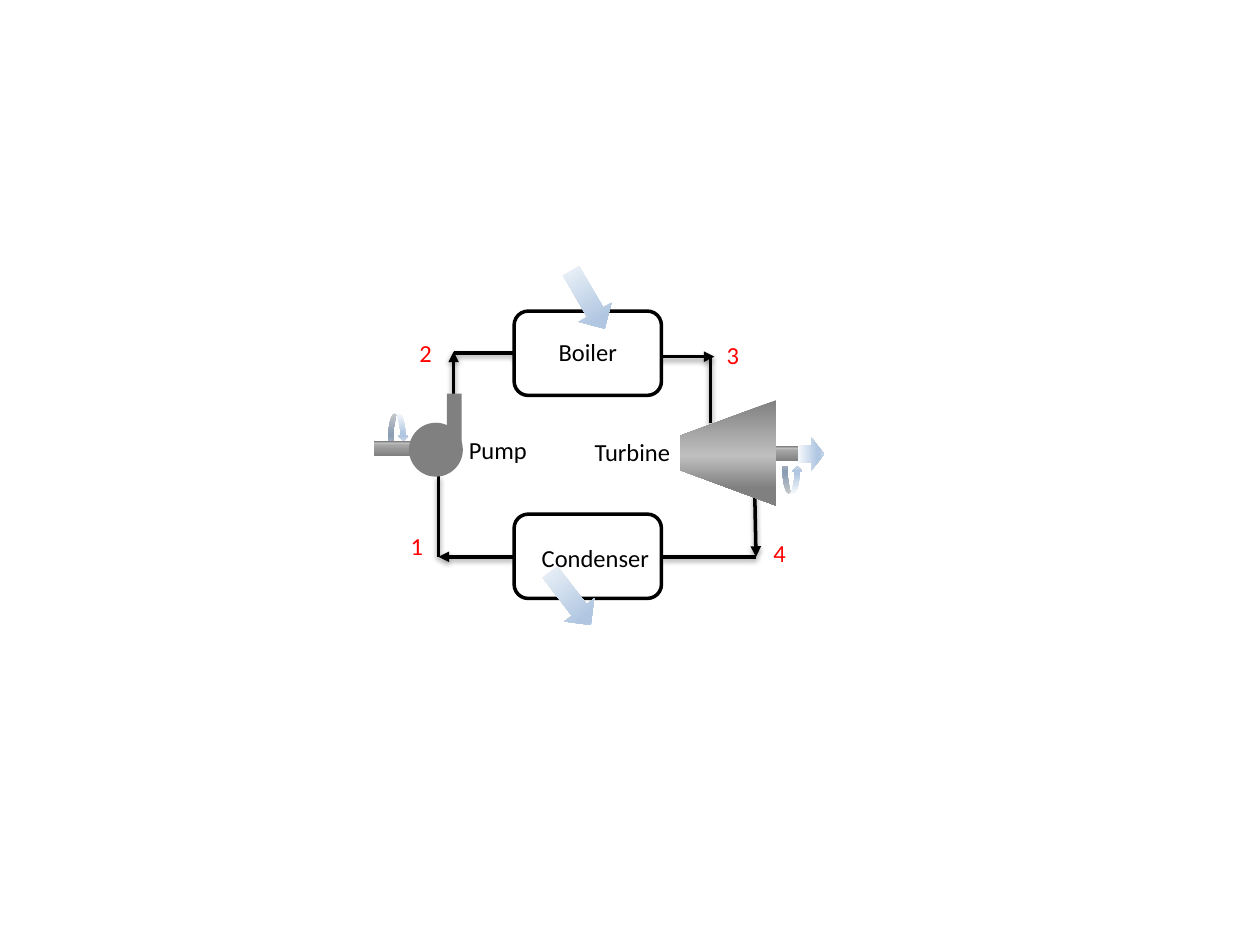
from lxml import etree
from pptx import Presentation
from pptx.dml.color import RGBColor
from pptx.enum import shapes as kinds, text
from pptx.oxml import parse_xml
from pptx.oxml.ns import nsdecls, qn
from pptx.util import Pt

BLACK, WHITE, GREY, RED = "000000", "FFFFFF", "808080", "FF0000"
STEEL = [(0, GREY), (74, "A6A6A6"), (83, "BFBFBF"), (100, GREY)]
ROUNDED_STEEL = [(0, GREY), (53, "BFBFBF"), (83, GREY), (100, GREY)]
ENERGY = [(0, "F6F9FC"), (74, "B0C6E1"), (83, "B0C6E1"), (100, "CAD9EB")]
SHAPE = kinds.MSO_SHAPE


def color(hex_string):
    return RGBColor.from_string(hex_string)


def set_gradient(shape, stops, angle):
    """Replace the fill by a linear gradient with any number of stops."""
    shape.fill.background()
    stop_xml = "".join(
        f'<a:gs pos="{position * 1000}"><a:srgbClr val="{value}"/></a:gs>'
        for position, value in stops)
    gradient = parse_xml(
        f'<a:gradFill {nsdecls("a")} rotWithShape="1"><a:gsLst>{stop_xml}</a:gsLst>'
        f'<a:lin ang="{angle * 60000}" scaled="0"/></a:gradFill>')
    properties = shape._element.spPr
    properties.replace(properties.find(qn("a:noFill")), gradient)


def add_part(slide, kind, left, top, width, height, fill, angle=0, rotation=0, line=None):
    """Add a preset shape; fill is one colour or a list of gradient stops."""
    shape = slide.shapes.add_shape(kind, Pt(left), Pt(top), Pt(width), Pt(height))
    shape.shadow.inherit = False
    shape.rotation = rotation
    if line:
        shape.line.color.rgb = color(line)
        shape.line.width = Pt(2)
    else:
        shape.line.fill.background()
    if isinstance(fill, str):
        shape.fill.solid()
        shape.fill.fore_color.rgb = color(fill)
    else:
        set_gradient(shape, fill, angle)
    return shape


def add_label(slide, left, top, width, wording, font_color=BLACK,
              alignment=text.PP_ALIGN.RIGHT):
    box = slide.shapes.add_textbox(Pt(left), Pt(top), Pt(width), Pt(24.5))
    frame = box.text_frame
    frame.word_wrap = True
    frame.auto_size = text.MSO_AUTO_SIZE.SHAPE_TO_FIT_TEXT
    frame.text = wording
    paragraph = frame.paragraphs[0]
    paragraph.alignment = alignment
    font = paragraph.runs[0].font
    font.name, font.size = "Calibri", Pt(14)
    font.color.rgb = color(font_color)


def add_pipe(slide, start, end, arrow):
    pipe = slide.shapes.add_connector(
        kinds.MSO_CONNECTOR.STRAIGHT, *(Pt(value) for value in start + end))
    pipe.line.color.rgb = color(BLACK)
    pipe.line.width = Pt(2)
    if arrow:
        etree.SubElement(pipe.line._get_or_add_ln(), qn("a:tailEnd"), type="triangle")
    pipe._element.spPr.append(parse_xml(
        f'<a:effectLst {nsdecls("a")}><a:outerShdw blurRad="{Pt(3.1)}" dist="{Pt(1.6)}" '
        f'dir="5400000" rotWithShape="0"><a:srgbClr val="{BLACK}"><a:alpha val="38000"/>'
        '</a:srgbClr></a:outerShdw></a:effectLst>'))


def add_shaft(slide, left, top):
    add_part(slide, SHAPE.RECTANGLE, left, top, 34, 8.6, STEEL, 90, 180)


def add_spin(slide, left, top, rotation=0):
    return add_part(slide, SHAPE.CURVED_DOWN_ARROW, left, top, 11.5, 15.8,
                    ENERGY, 90, rotation)


def add_pipes(slide, left, top, width, height):
    """Draw the loop between the pump, boiler, turbine and condenser."""
    right, bottom = left + width, top + height
    pump_outlet, turbine_inlet = left + 8.6, right - 25.9
    hot_level = top + 2.2
    runs = [
        ((pump_outlet, hot_level), (turbine_inlet + 2.2, hot_level + 0.0), True),
        ((right - 0.7, bottom - 36), (right, bottom), True),
        ((left + 43.2, bottom), (left, bottom), True),
        ((pump_outlet, top + 38.9), (pump_outlet, top - 0.7), True),
        ((turbine_inlet, top + 40.3), (turbine_inlet, hot_level), False),
        ((pump_outlet, top), (left + 43.9, top), False),
        ((right - 54, bottom), (right, bottom), False),
        ((left, bottom), (left, bottom - 46.1), False),
    ]
    runs[0] = ((left + 43.2, hot_level), runs[0][1], True)
    for start, end, arrow in runs:
        add_pipe(slide, start, end, arrow)


def add_vessel(slide, left, top, width, height, name, label_offset, alignment,
               heat_offset, heat_angle):
    add_part(slide, SHAPE.ROUNDED_RECTANGLE, left, top, width, height, WHITE, line=BLACK)
    add_label(slide, left, top + label_offset, width, name, alignment=alignment)
    add_part(slide, SHAPE.RIGHT_ARROW, left + heat_offset[0], top + heat_offset[1],
             38.2, 21.6, ENERGY, rotation=heat_angle)


def add_turbine(slide, left, top):
    add_label(slide, left - 80, top + 15.1, 84.2, "Turbine")
    add_shaft(slide, left + 36, top + 23.8)
    add_part(slide, SHAPE.RIGHT_ARROW, left + 70, top + 18.7, 15.1, 19.4, ENERGY)
    spin = add_spin(slide, left + 61.2, top + 35.3, 180)
    spin._element.spPr.xfrm.set("flipH", "1")
    casing = add_part(slide, SHAPE.TRAPEZOID, left, top, 60.5, 55.4,
                      ROUNDED_STEEL, 180, 270)
    casing.adjustments[0] = 0.37


def add_pump(slide, left, top):
    add_label(slide, left + 19.5, top + 8.6, 74.9, "Pump")
    add_shaft(slide, left, top + 15.8)
    add_part(slide, SHAPE.OVAL, left + 20.9, top + 6.4, 28.8, 28.8, GREY, line=GREY)
    add_spin(slide, left + 8, top)
    add_part(slide, SHAPE.RECTANGLE, left + 28.8, top + 1.4, 34, 8.6, GREY, rotation=270)


def add_state_numbers(slide):
    positions = [(227.5, 300.2), (232.6, 189.4), (408.2, 190.8), (434.9, 303.8)]
    for number, (left, top) in enumerate(positions, start=1):
        add_label(slide, left, top, 18, str(number), RED)


def main():
    presentation = Presentation()
    presentation.slide_width, presentation.slide_height = Pt(720), Pt(540)
    slide = presentation.slides.add_slide(presentation.slide_layouts[6])
    add_pipes(slide, 250.6, 201.6, 181.4, 116.6)
    add_vessel(slide, 293.8, 177.8, 84.2, 48.2, "Boiler", 11.5,
               text.PP_ALIGN.CENTER, (23, -17.3), 59.8)
    add_vessel(slide, 293.8, 293.8, 84.2, 48.2, "Condenser", 13,
               text.PP_ALIGN.RIGHT, (13, 37.4), 52.3)
    add_turbine(slide, 385.9, 231.1)
    add_pump(slide, 213.8, 236.2)
    add_state_numbers(slide)
    presentation.save("out.pptx")


if __name__ == "__main__":
    main()
